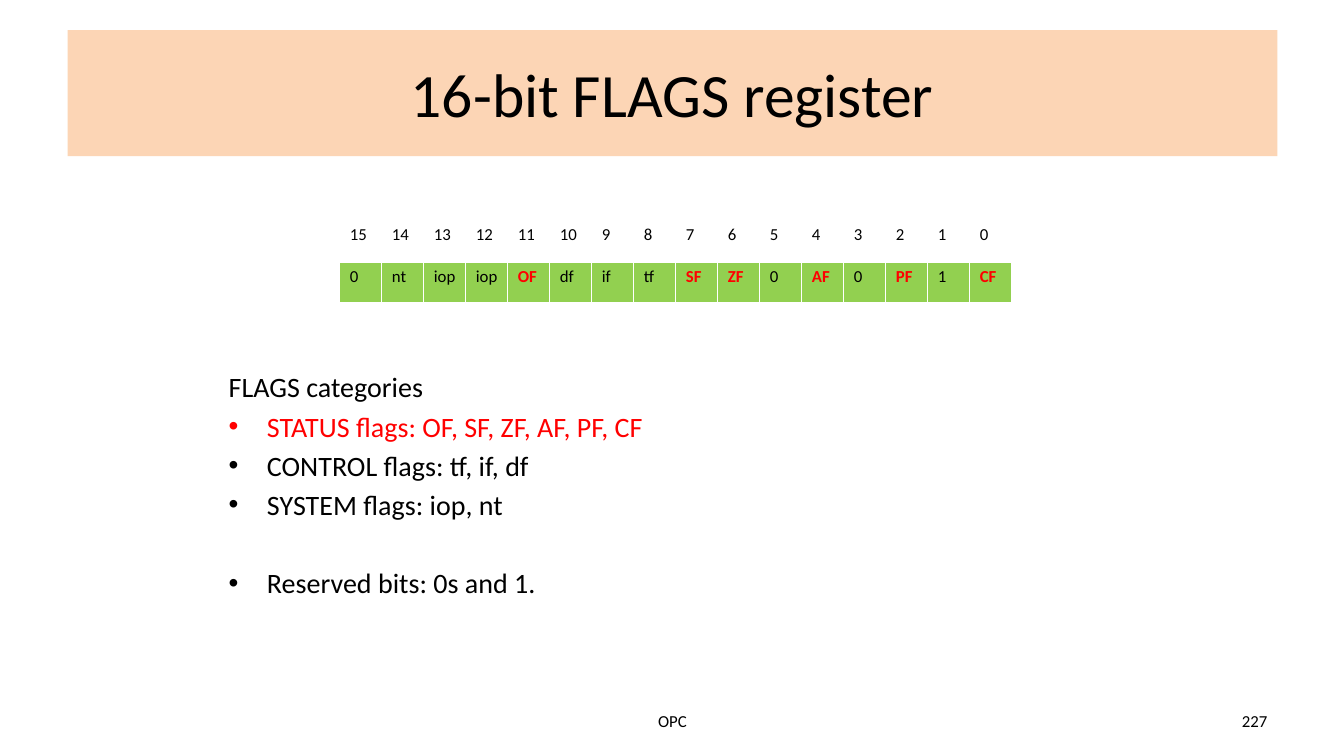
from lxml import etree
from pptx import Presentation
from pptx.dml.color import RGBColor
from pptx.enum.shapes import MSO_SHAPE
from pptx.enum.text import MSO_ANCHOR, PP_ALIGN
from pptx.oxml.ns import qn
from pptx.util import Inches, Pt

LEFT, CENTER, RIGHT = PP_ALIGN.LEFT, PP_ALIGN.CENTER, PP_ALIGN.RIGHT
TOP, MIDDLE = MSO_ANCHOR.TOP, MSO_ANCHOR.MIDDLE
FONT = "Calibri"
COLORS = {"black": "000000", "white": "FFFFFF", "red": "FF0000",
          "green": "92D050", "peach": "FCD5B5"}

# Content
TITLE = "16-bit FLAGS register"
FLAGS = ["0", "nt", "iop", "iop", "OF", "df", "if", "tf",
         "SF", "ZF", "0", "AF", "0", "PF", "1", "CF"]
STATUS_FLAGS = {"OF", "SF", "ZF", "AF", "PF", "CF"}
# Text, colour, bulleted, space before in points
CATEGORIES = [
    ("FLAGS categories", "black", False, 4),
    ("STATUS flags: OF, SF, ZF, AF, PF, CF", "red", True, 4),
    ("CONTROL flags: tf, if, df", "black", True, 4),
    ("SYSTEM flags: iop, nt", "black", True, 4),
    ("Reserved bits: 0s and 1.", "black", True, 32),
]
# Text, left, width, alignment
FOOTERS = [("OPC", 4.56, 4.22, CENTER), ("227", 9.56, 3.11, RIGHT)]
TABLE_LEFT, TABLE_TOP, TABLE_WIDTH, ROW_HEIGHT = 3.37, 2.18, 6.67, 0.41


def rgb(name):
    return RGBColor.from_string(COLORS[name])


def add_span(para, text, size, color="black", bold=False):
    span = para.add_run()
    span.text = text
    span.font.name = FONT
    span.font.size = Pt(size)
    span.font.bold = bold
    span.font.color.rgb = rgb(color)


def add_text_box(page, left, top, width, height, anchor):
    box = page.shapes.add_textbox(Inches(left), Inches(top), Inches(width), Inches(height))
    box.text_frame.word_wrap = True
    box.text_frame.vertical_anchor = anchor
    return box.text_frame


def add_bullet(para):
    props = para._p.get_or_add_pPr()
    props.set("marL", str(Inches(0.38)))
    props.set("indent", str(-Inches(0.38)))
    etree.SubElement(props, qn("a:buFont"), typeface="Arial")
    etree.SubElement(props, qn("a:buChar"), char="•")


def set_borders(cell, **widths):
    props = cell._tc.get_or_add_tcPr()
    for position, side in enumerate(("L", "R", "T", "B")):
        line = etree.Element(qn("a:ln" + side), w=str(Pt(widths.get(side, 1))))
        fill = etree.SubElement(line, qn("a:solidFill"))
        etree.SubElement(fill, qn("a:srgbClr"), val=COLORS["white"])
        props.insert(position, line)


def add_title(page):
    banner = page.shapes.add_shape(MSO_SHAPE.RECTANGLE, Inches(0.67), Inches(0.3),
                                   Inches(12), Inches(1.25))
    banner.shadow.inherit = False
    banner.fill.solid()
    banner.fill.fore_color.rgb = rgb("peach")
    banner.line.fill.background()
    banner.text_frame.word_wrap = True
    banner.text_frame.vertical_anchor = MIDDLE
    para = banner.text_frame.paragraphs[0]
    para.alignment = CENTER
    add_span(para, TITLE, 44)


def add_register(page):
    count = len(FLAGS)
    table = page.shapes.add_table(2, count, Inches(TABLE_LEFT), Inches(TABLE_TOP),
                                  Inches(TABLE_WIDTH), Inches(2 * ROW_HEIGHT)).table
    for column in table.columns:
        column.width = Inches(TABLE_WIDTH / count)
    bits = [str(count - 1 - index) for index in range(count)]
    for row, (labels, fill) in enumerate([(bits, "white"), (FLAGS, "green")]):
        table.rows[row].height = Inches(ROW_HEIGHT)
        for index, label in enumerate(labels):
            cell = table.cell(row, index)
            cell.fill.solid()
            cell.fill.fore_color.rgb = rgb(fill)
            status = label in STATUS_FLAGS
            add_span(cell.text_frame.paragraphs[0], label, 12,
                     "red" if status else "black", status)
            if row == 0:
                set_borders(cell, B=3)
            else:
                set_borders(cell, T=3)


def add_categories(page):
    frame = add_text_box(page, 2.17, 3.62, 9, 2.76, TOP)
    for index, (text, color, bulleted, space) in enumerate(CATEGORIES):
        para = frame.add_paragraph() if index else frame.paragraphs[0]
        para.alignment = LEFT
        para.space_before = Pt(space)
        if bulleted:
            add_bullet(para)
        add_span(para, text, 20, color)


def add_footers(page):
    for text, left, width, alignment in FOOTERS:
        para = add_text_box(page, left, 6.95, width, 0.4, MIDDLE).paragraphs[0]
        para.alignment = alignment
        add_span(para, text, 12)


def main():
    deck = Presentation()
    deck.slide_width, deck.slide_height = Inches(13.33), Inches(7.5)
    page = deck.slides.add_slide(deck.slide_layouts[6])
    add_title(page)
    add_footers(page)
    add_register(page)
    add_categories(page)
    deck.save("out.pptx")


if __name__ == "__main__":
    main()
